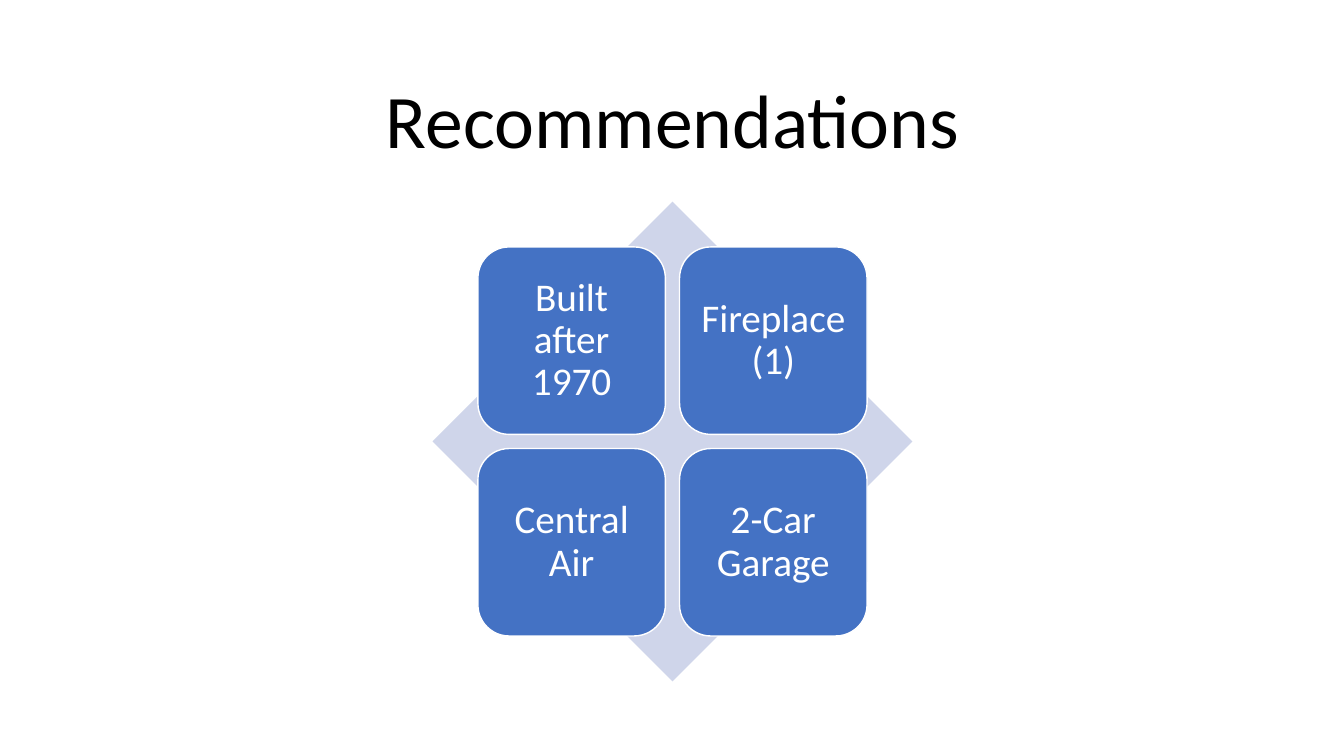
from pptx import Presentation
from pptx.dml.color import RGBColor
from pptx.enum.shapes import MSO_SHAPE
from pptx.enum.text import MSO_ANCHOR, PP_ALIGN
from pptx.util import Inches, Pt

BLACK = RGBColor(0x00, 0x00, 0x00)
WHITE = RGBColor(0xFF, 0xFF, 0xFF)
BLUE = RGBColor(0x44, 0x72, 0xC4)
PALE_BLUE = RGBColor(0xCF, 0xD5, 0xEA)
FONT = "Calibri"

FEATURES = ["Built after 1970", "Fireplace (1)", "Central Air", "2-Car Garage"]


def write_centered(tf, text, size, color):
    tf.word_wrap = True
    tf.vertical_anchor = MSO_ANCHOR.MIDDLE
    p = tf.paragraphs[0]
    p.alignment = PP_ALIGN.CENTER
    p.line_spacing = 0.9
    r = p.add_run()
    r.text = text
    r.font.name = FONT
    r.font.size = Pt(size)
    r.font.color.rgb = color


def add_title(s, left, top, width, height, text):
    box = s.shapes.add_textbox(Inches(left), Inches(top), Inches(width), Inches(height))
    write_centered(box.text_frame, text, 54, BLACK)


def add_filled(shapes, kind, left, top, size, color):
    """Add a square-sided shape with a plain fill and no shadow."""
    sp = shapes.add_shape(kind, Inches(left), Inches(top), Inches(size), Inches(size))
    sp.shadow.inherit = False
    sp.fill.solid()
    sp.fill.fore_color.rgb = color
    return sp


def add_feature_tile(shapes, left, top, size, text):
    sp = add_filled(shapes, MSO_SHAPE.ROUNDED_RECTANGLE, left, top, size, BLUE)
    sp.line.color.rgb = WHITE
    sp.line.width = Pt(1)
    tf = sp.text_frame
    tf.margin_left = tf.margin_right = Inches(0.11)
    tf.margin_top = tf.margin_bottom = Inches(0.11)
    write_centered(tf, text, 28, WHITE)


def add_feature_matrix(s, left, top, size, features):
    """Place a two-by-two grid of tiles centred over a diamond."""
    shapes = s.shapes.add_group_shape().shapes
    diamond = add_filled(shapes, MSO_SHAPE.DIAMOND, left, top, size, PALE_BLUE)
    diamond.line.fill.background()
    tile, gap = 1.86, 0.14
    margin = (size - 2 * tile - gap) / 2
    for i, text in enumerate(features):
        row, col = divmod(i, 2)
        add_feature_tile(shapes, left + margin + col * (tile + gap),
                         top + margin + row * (tile + gap), tile, text)


def main():
    prs = Presentation()
    prs.slide_width = Inches(13.33)
    prs.slide_height = Inches(7.5)
    s = prs.slides.add_slide(prs.slide_layouts[6])
    add_title(s, 0.92, 0.61, 11.5, 1.24, "Recommendations")
    add_feature_matrix(s, 4.29, 2, 4.76, FEATURES)
    prs.save("out.pptx")


if __name__ == "__main__":
    main()
